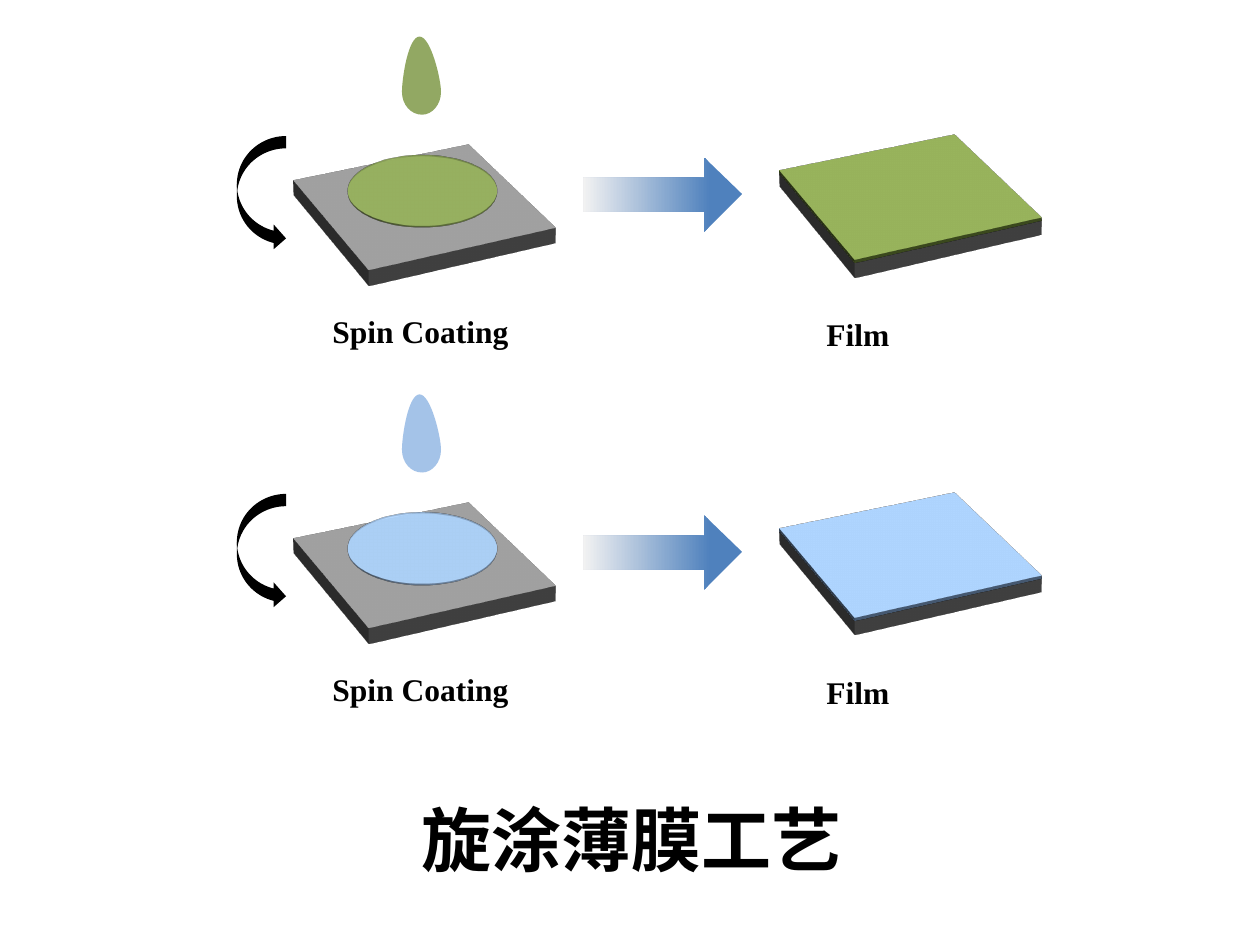
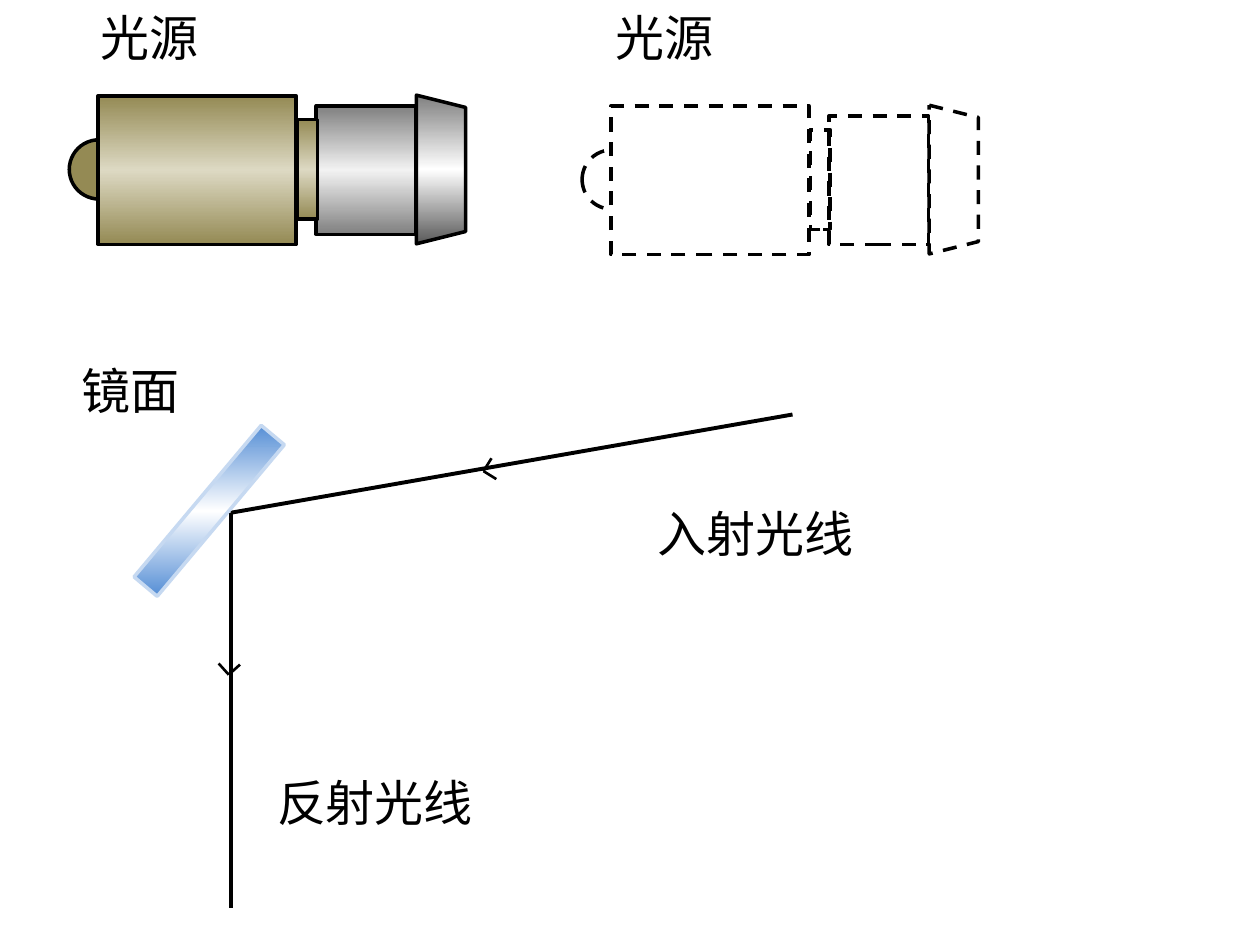
from dataclasses import dataclass

from lxml import etree
from pptx import Presentation
from pptx.dml.color import RGBColor
from pptx.enum import dml, shapes, text
from pptx.oxml.ns import qn
from pptx.util import Inches, Pt

GEO = shapes.MSO_SHAPE


@dataclass(frozen=True)
class Theme:
    ink: str = "000000"
    paper: str = "FFFFFF"
    slab: str = "808080"
    green: str = "77933C"
    blue: str = "8EB4E3"
    arrow: tuple = ((20, "4F81BD"), (100, "F2F2F2"))
    brass: str = "948A54"
    brass_sheen: tuple = ((0, "948A54"), (50, "DDD9C3"), (100, "948A54"))
    steel_sheen: tuple = ((0, "808080"), (50, "F2F2F2"), (100, "808080"))
    cap_sheen: tuple = ((0, "595959"), (50, "FFFFFF"), (100, "808080"))
    mirror_sheen: tuple = ((0, "558ED5"), (50, "FFFFFF"), (100, "558ED5"))
    mirror_edge: str = "C6D9F1"
    label_font: str = "Times New Roman"
    body_font: str = "Calibri"
    label_size: int = 18
    name_size: int = 28
    title_size: int = 40


THEME = Theme()
ROW_PITCH = 2.84
LAMP_SHIFT = (4.07, 0.08)
PLATE_VIEW = {"lat": 306.7, "lon": 323, "rev": 43.3}
MIRROR_VIEW = {"lat": 0, "lon": 0, "rev": 320}


def rgb(value):
    return RGBColor.from_string(value)


def paint(shape, fill=None, angle=0, alpha=100, edge=None, weight=2, dashed=False):
    """Fill with a colour, gradient stops or nothing, then set the outline."""
    shape.shadow.inherit = False
    if fill is None:
        shape.fill.background()
    elif isinstance(fill, str):
        shape.fill.solid()
        shape.fill.fore_color.rgb = rgb(fill)
        if alpha < 100:
            colour = shape._element.spPr.find(qn("a:solidFill"))[0]
            etree.SubElement(colour, qn("a:alpha"), val=str(alpha * 1000))
    else:
        shape.fill.gradient()
        gradient = shape._element.spPr.find(qn("a:gradFill"))
        stops = gradient.find(qn("a:gsLst"))
        for old in list(stops):
            stops.remove(old)
        for position, colour in fill:
            stop = etree.SubElement(stops, qn("a:gs"), pos=str(position * 1000))
            etree.SubElement(stop, qn("a:srgbClr"), val=colour)
        gradient.find(qn("a:lin")).set("ang", str(angle * 60000))
    if edge is None:
        shape.line.fill.background()
    else:
        shape.line.color.rgb = rgb(edge)
        shape.line.width = Pt(weight)
        if dashed:
            shape.line.dash_style = dml.MSO_LINE.DASH


def add_preset(canvas, kind, box, rotation=0, **look):
    shape = canvas.add_shape(kind, *map(Inches, box))
    shape.rotation = rotation
    paint(shape, **look)
    return shape


def turn_in_space(shape, view, camera="orthographicFront", depth=0):
    """Look at the shape from another side; depth in points makes it a solid."""
    properties = shape._element.spPr
    scene = etree.SubElement(properties, qn("a:scene3d"))
    eye = etree.SubElement(scene, qn("a:camera"), prst=camera)
    etree.SubElement(eye, qn("a:rot"),
                     {axis: str(round(turn * 60000)) for axis, turn in view.items()})
    etree.SubElement(scene, qn("a:lightRig"), rig="threePt", dir="t")
    if depth:
        etree.SubElement(properties, qn("a:sp3d"), extrusionH=str(Pt(depth)))


def add_solid(canvas, kind, x, y, side, depth, **look):
    solid = add_preset(canvas, kind, (x, y, side, side), **look)
    turn_in_space(solid, PLATE_VIEW, "perspectiveRelaxed", depth)


def add_outline(canvas, points, **look):
    corners = [(Inches(x), Inches(y)) for x, y in points]
    builder = canvas.build_freeform(*corners[0], scale=1.0)
    builder.add_line_segments(corners[1:], close=True)
    outline = builder.convert_to_shape()
    paint(outline, **look)
    return outline


def add_drop(canvas, y, colour):
    """A drop through four anchor points, its sides bent by two handles each."""
    anchors = ((3.19, 0.73), (3.33, 0.29), (3.5, 0.73), (3.35, 0.91), (3.19, 0.73))
    handles = (((3.19, 0.62), (3.24, 0.29)), ((3.42, 0.29), (3.5, 0.63)),
               ((3.5, 0.83), (3.43, 0.91)), ((3.26, 0.91), (3.19, 0.83)))
    drop = add_outline(canvas, [(px, py + y) for px, py in anchors],
                       fill=colour, alpha=80)
    sides = list(drop._element.spPr.iter(qn("a:lnTo")))
    for side, pair in zip(sides, handles):
        side.tag = qn("a:cubicBezTo")
        for place, (px, py) in enumerate(pair):
            handle = etree.Element(qn("a:pt"), x=str(Inches(px - 3.19)),
                                   y=str(Inches(py - 0.29)))
            side.insert(place, handle)


def add_step_arrow(canvas, x, y):
    neck, tip = x + 0.96, x + 1.26
    points = ((tip, y), (neck, y + 0.3), (neck, y + 0.14), (x, y + 0.14),
              (x, y - 0.13), (neck, y - 0.13), (neck, y - 0.29))
    add_outline(canvas, points, fill=THEME.arrow, angle=180)


def add_ray(canvas, start, end, weight=2.25):
    ray = canvas.add_connector(shapes.MSO_CONNECTOR.STRAIGHT, *map(Inches, start + end))
    ray.line.color.rgb = rgb(THEME.ink)
    ray.line.width = Pt(weight)
    etree.SubElement(ray._element.spPr, qn("a:effectLst"))


def add_ray_mark(slide, x, y, rotation):
    """An open arrowhead: a square corner turned to the direction of the ray."""
    mark = slide.shapes.add_group_shape()
    arm = 0.12
    corner = (x + arm, y)
    add_ray(mark.shapes, (x, y), corner, 1.5)
    add_ray(mark.shapes, corner, (x + arm, y + arm), 1.5)
    mark.rotation = rotation


def add_label(canvas, words, box, size, font=THEME.body_font, bold=False, wrap=True):
    label = canvas.add_textbox(*map(Inches, box))
    label.text_frame.word_wrap = wrap
    label.text_frame.auto_size = text.MSO_AUTO_SIZE.SHAPE_TO_FIT_TEXT
    run = label.text_frame.paragraphs[0].add_run()
    run.text = words
    for name, value in {"name": font, "size": Pt(size), "bold": bold}.items():
        setattr(run.font, name, value)
    run.font.color.rgb = rgb(THEME.ink)


def add_coating_row(slide, y, solution):
    row = slide.shapes.add_group_shape().shapes
    for x, top, depth, colour in ((6.42, 0.76, 10, THEME.slab),
                                  (6.42, 0.75, 2, solution),
                                  (2.56, 0.83, 10, THEME.slab)):
        add_solid(row, GEO.RECTANGLE, x, y + top, 1.57, depth, fill=colour)
    add_solid(row, GEO.OVAL, 2.76, y + 0.91, 1.18, 1, fill=solution, alpha=70)
    add_drop(row, y, solution)
    add_step_arrow(row, 4.63, y + 1.54)
    add_preset(row, GEO.CURVED_RIGHT_ARROW, (1.88, y + 1.08, 0.39, 0.91), fill=THEME.ink)
    for words, box in (("Spin Coating", (2.54, y + 2.43, 1.61, 0.4)),
                       ("Film", (6.46, y + 2.45, 0.71, 0.4))):
        add_label(row, words, box, THEME.label_size, THEME.label_font, True, False)


def add_lamp(slide, dx=0, dy=0, dashed=False):
    """A lamp in metal finish, or only its dashed outline."""
    lamp = slide.shapes.add_group_shape().shapes
    parts = (
        (GEO.TRAPEZOID, (2.91, 1.15, 1.18, 0.39), 90, THEME.cap_sheen, 180, None),
        (GEO.RECTANGLE, (2.51, 0.84, 0.79, 1.02), 0, THEME.steel_sheen, 90, None),
        (GEO.RECTANGLE, (2.36, 0.95, 0.16, 0.79), 0, THEME.brass_sheen, 90, None),
        (GEO.OVAL, (0.55, 1.11, 0.47, 0.47), 0, THEME.brass, 0, None),
        (GEO.RECTANGLE, (0.78, 0.76, 1.57, 1.18), 0, THEME.brass_sheen, 90, THEME.paper),
    )
    for kind, (x, y, w, h), rotation, metal, angle, blank in parts:
        add_preset(lamp, kind, (x + dx, y + dy, w, h), rotation,
                   fill=blank if dashed else metal, angle=angle,
                   edge=THEME.ink, dashed=dashed)


def build_coating_slide(slide):
    for row, solution in enumerate((THEME.green, THEME.blue)):
        add_coating_row(slide, row * ROW_PITCH, solution)
    add_label(slide.shapes, "旋涂薄膜工艺", (3.25, 6.27, 4.02, 0.77),
              THEME.title_size, bold=True)


def build_optics_slide(slide):
    add_lamp(slide)
    add_lamp(slide, *LAMP_SHIFT, dashed=True)
    hit = (1.83, 4.07)
    for far_end in ((1.83, 7.21), (6.29, 3.29)):
        add_ray(slide.shapes, hit, far_end)
    mirror = add_preset(slide.shapes, GEO.RECTANGLE, (1.54, 3.27, 0.24, 1.57),
                        fill=THEME.mirror_sheen, angle=90, edge=THEME.mirror_edge)
    turn_in_space(mirror, MIRROR_VIEW)
    add_ray_mark(slide, 3.86, 3.66, 212)
    add_ray_mark(slide, 1.76, 5.21, 138)
    for words, x, y in (("入射光线", 5.12, 3.95), ("反射光线", 2.1, 6.08),
                        ("镜面", 0.55, 2.81), ("光源", 0.7, 0.01),
                        ("光源", 4.79, 0.01)):
        add_label(slide.shapes, words, (x, y, 1.81, 0.57), THEME.name_size)


def main():
    deck = Presentation()
    deck.slide_width, deck.slide_height = Inches(10), Inches(7.5)
    blank = deck.slide_layouts[6]
    for build in (build_coating_slide, build_optics_slide):
        build(deck.slides.add_slide(blank))
    deck.save("out.pptx")


if __name__ == "__main__":
    main()
